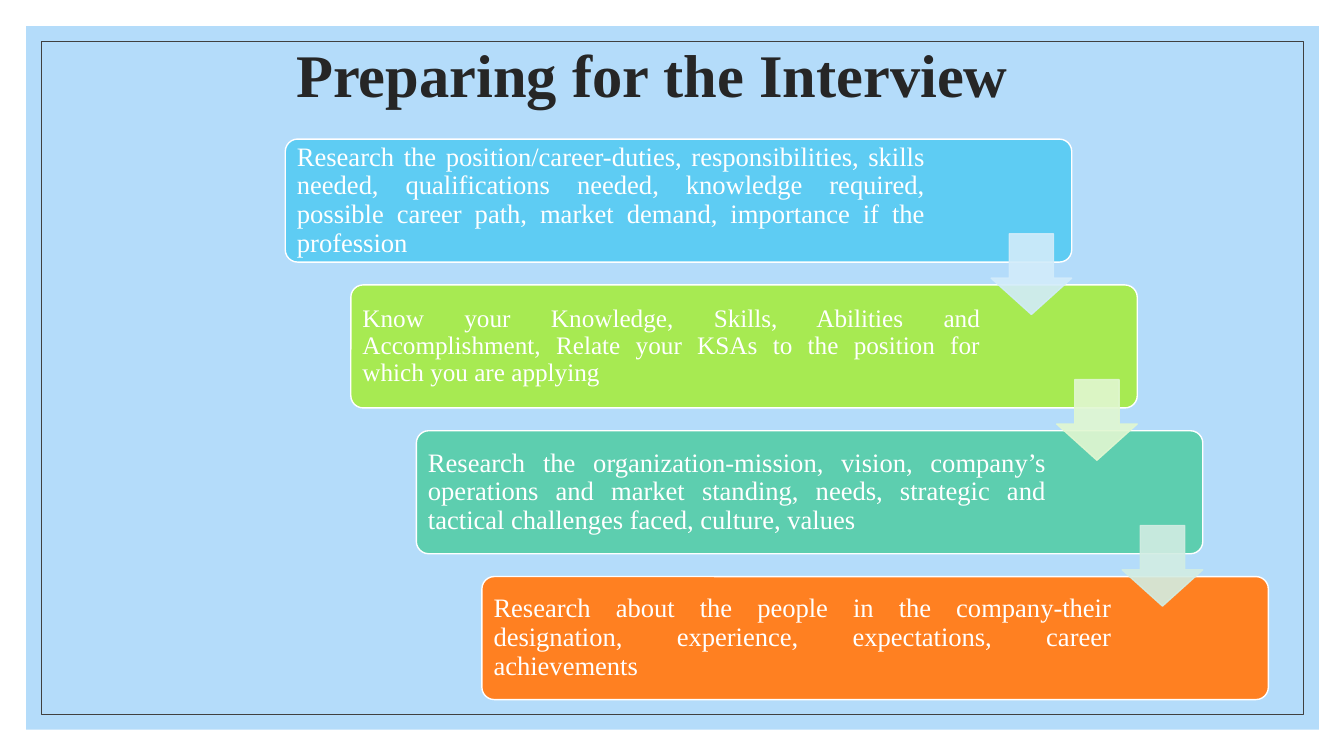
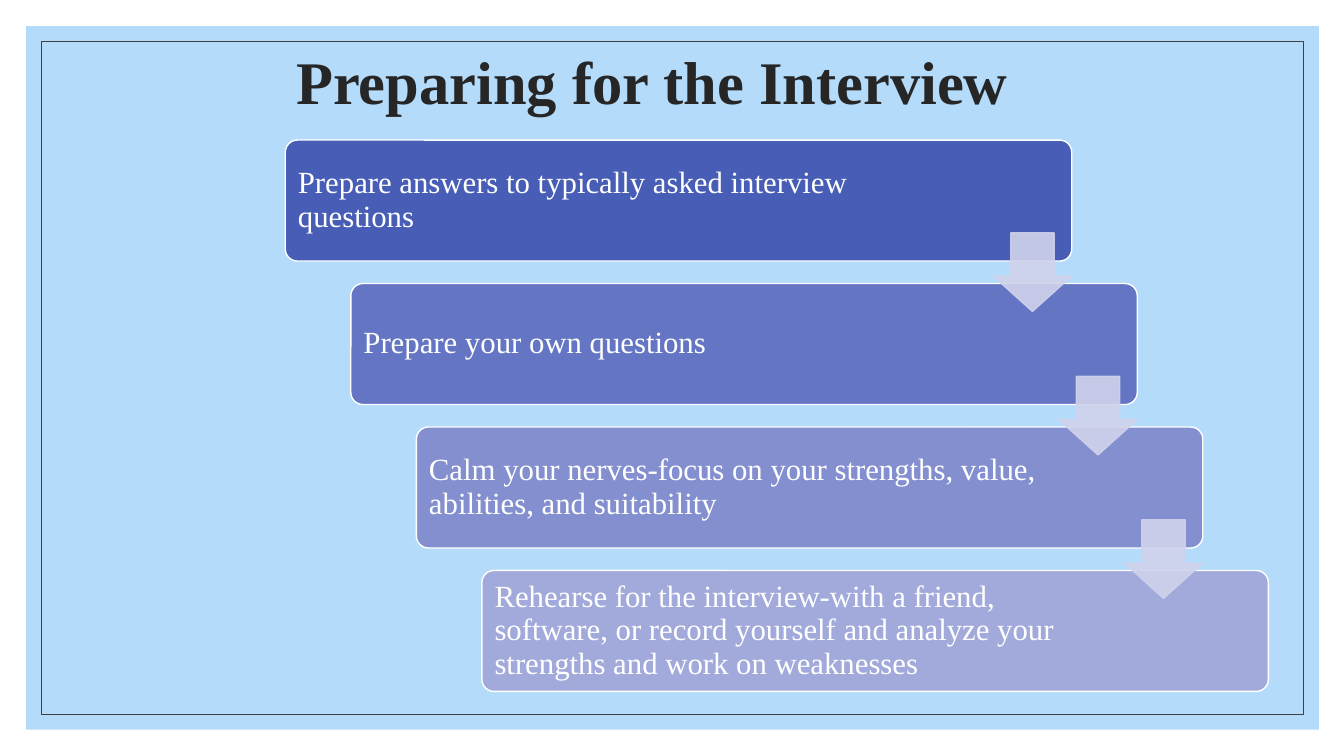
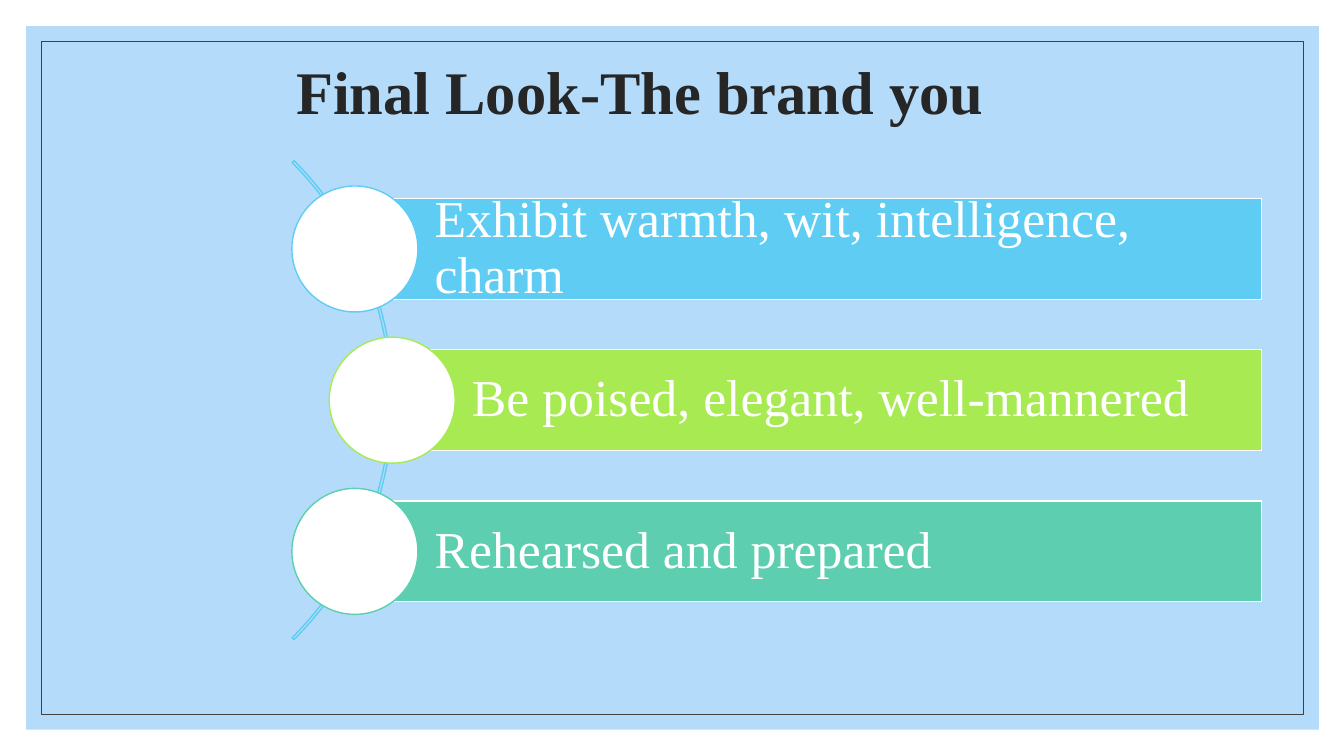
from lxml import etree
from pptx import Presentation
from pptx.dml.color import RGBColor
from pptx.enum import shapes, text
from pptx.oxml import ns
from pptx.util import Inches, Pt

FONT = "Times New Roman"
COLORS = {
    "white": "FFFFFF", "backdrop": "B4DCFA", "frame": "404040", "title": "262626",
    "sky": "5ECCF3", "lime": "A7EA52", "mint": "5DCEAF", "orange": "FF8021",
    "pale sky": "D2ECFA", "pale lime": "E1F7D1", "pale mint": "D2EDE3",
    "indigo 1": "475DB6", "indigo 2": "6476C3", "indigo 3": "838FCF",
    "indigo 4": "A2AADB", "pale indigo": "D0D3EB",
}

STAIRCASES = [
    {
        "title": "Preparing for the Interview", "title_box": (0.39, 0.76),
        "first_top": 1.38, "last_top": 5.72, "height": 1.22, "arrow": 0.8,
        "inset": 0.08, "align": text.PP_ALIGN.JUSTIFY,
        "arrow_colors": ["pale sky", "pale lime", "pale mint"],
        "steps": [
            ("Research the position/career-duties, responsibilities, skills needed, "
             "qualifications needed, knowledge required, possible career path, "
             "market demand, importance if the profession", "sky", 19),
            ("Know your Knowledge, Skills, Abilities and Accomplishment, "
             "Relate your KSAs to the position for which you are applying", "lime", 18),
            ("Research the organization-mission, vision, company’s operations and market "
             "standing, needs, strategic and tactical challenges faced, culture, values",
             "mint", 19),
            ("Research about the people in the company-their designation, experience, "
             "expectations, career achievements", "orange", 19),
        ],
    },
    {
        "title": "Preparing for the Interview", "title_box": (0.47, 0.74),
        "first_top": 1.39, "last_top": 5.66, "height": 1.2, "arrow": 0.78,
        "inset": 0.09, "align": text.PP_ALIGN.LEFT,
        "arrow_colors": ["pale indigo"] * 3,
        "steps": [
            ("Prepare answers to typically asked interview questions", "indigo 1", 22),
            ("Prepare your own questions", "indigo 2", 22),
            ("Calm your nerves-focus on your strengths, value, abilities, and suitability",
             "indigo 3", 22),
            ("Rehearse for the interview-with a friend, software, or record yourself and "
             "analyze your strengths and work on weaknesses", "indigo 4", 22),
        ],
    },
]

FINAL_LOOK = {
    "title": "Final Look-The brand you", "title_box": (0.68, 0.53),
    "bars": [
        ("Exhibit warmth, wit, intelligence, charm", "sky", 3.52),
        ("Be poised, elegant, well-mannered", "lime", 3.89),
        ("Rehearsed and prepared", "mint", 3.52),
    ],
}


def color(name):
    return RGBColor.from_string(COLORS[name])


def write(shape, words, size, ink="white", bold=False, align=text.PP_ALIGN.LEFT,
          insets=(0.1, 0.05, 0.1, 0.05)):
    frame = shape.text_frame
    frame.word_wrap = True
    frame.vertical_anchor = text.MSO_ANCHOR.MIDDLE
    frame.margin_left, frame.margin_top, frame.margin_right, frame.margin_bottom = map(
        Inches, insets)
    paragraph = frame.paragraphs[0]
    paragraph.alignment = align
    paragraph.line_spacing = 0.9
    run = paragraph.add_run()
    run.text = words
    run.font.name = FONT
    run.font.size = Pt(size)
    run.font.bold = bold
    run.font.color.rgb = color(ink)


def draw(slide, kind, box, fill=None, line=None, width=1, adjustments=(), alpha=None):
    shape = slide.shapes.add_shape(kind, *map(Inches, box))
    shape.shadow.inherit = False
    for index, value in enumerate(adjustments):
        shape.adjustments[index] = value
    if fill:
        shape.fill.solid()
        shape.fill.fore_color.rgb = color(fill)
    else:
        shape.fill.background()
    if line:
        shape.line.color.rgb = color(line)
        shape.line.width = Pt(width)
    else:
        shape.line.fill.background()
    if alpha:
        for tint in shape.element.spPr.iter(ns.qn("a:srgbClr")):
            etree.SubElement(tint, ns.qn("a:alpha")).set("val", str(alpha * 1000))
    return shape


def start_slide(presentation, content):
    slide = presentation.slides.add_slide(presentation.slide_layouts[6])
    rectangle = shapes.MSO_SHAPE.RECTANGLE
    draw(slide, rectangle, (0.26, 0.26, 12.82, 6.98), fill="backdrop")
    draw(slide, rectangle, (0.41, 0.41, 12.52, 6.68), line="frame", width=0.5)
    top, height = content["title_box"]
    title = slide.shapes.add_textbox(*map(Inches, (2.84, top, 9.75, height)))
    write(title, content["title"], 43.2, ink="title", bold=True)
    return slide


def add_staircase(presentation, content):
    slide = start_slide(presentation, content)
    left, shift, width = 2.83, 0.65, 7.8
    height, size, inset = content["height"], content["arrow"], content["inset"]
    steps = content["steps"]
    pitch = (content["last_top"] - content["first_top"]) / (len(steps) - 1)
    corners = [(left + shift * i, content["first_top"] + pitch * i)
               for i in range(len(steps))]
    for i, ((words, fill, points), (x, y)) in enumerate(zip(steps, corners)):
        step = draw(slide, shapes.MSO_SHAPE.ROUNDED_RECTANGLE, (x, y, width, height),
                    fill=fill, line="white", adjustments=[0.1])
        right_inset = 1.52 if i else 1.42
        write(step, words, points, align=content["align"],
              insets=(inset, inset, right_inset, inset))
    for tint, (x, y) in zip(content["arrow_colors"], corners):
        draw(slide, shapes.MSO_SHAPE.DOWN_ARROW,
             (x + width - size, y + height - 0.28, size, size),
             fill=tint, line=tint, adjustments=[0.55, 0.45], alpha=90)


def add_final_look(presentation, content):
    slide = start_slide(presentation, content)
    right, first_top, pitch, height, diameter = 12.51, 1.97, 1.5, 1, 1.25
    draw(slide, shapes.MSO_SHAPE.BLOCK_ARC, (-2.82, 0.61, 6.72, 6.72),
         line="sky", adjustments=[189, 27, 0.004])
    for i, (words, tint, left) in enumerate(content["bars"]):
        top = first_top + pitch * i
        bar = draw(slide, shapes.MSO_SHAPE.RECTANGLE, (left, top, right - left, height),
                   fill=tint, line="white")
        write(bar, words, 37, insets=(0.79, 0.1, 0.1, 0.1))
        draw(slide, shapes.MSO_SHAPE.OVAL,
             (left - diameter / 2, top + (height - diameter) / 2, diameter, diameter),
             fill="white", line=tint)


def main():
    presentation = Presentation()
    presentation.slide_width = Inches(13.33)
    presentation.slide_height = Inches(7.5)
    for content in STAIRCASES:
        add_staircase(presentation, content)
    add_final_look(presentation, FINAL_LOOK)
    presentation.save("out.pptx")


if __name__ == "__main__":
    main()
